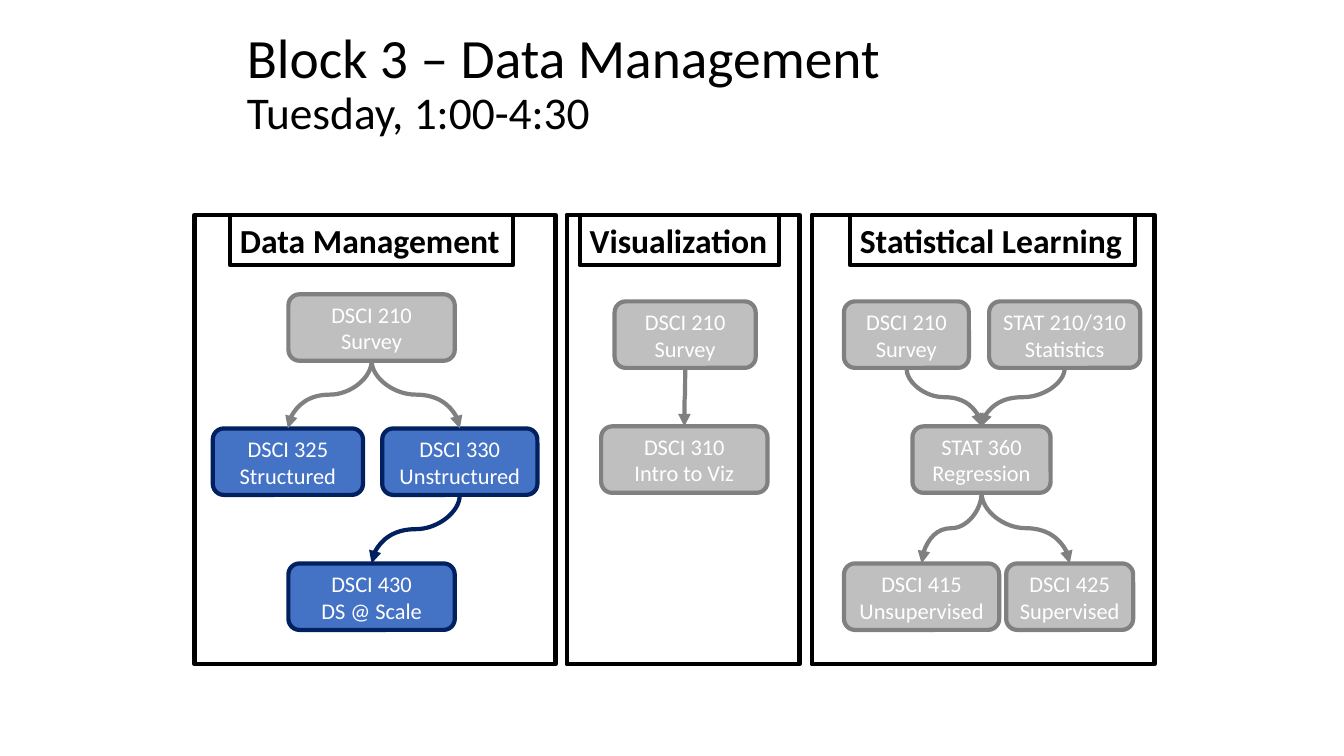
from dataclasses import dataclass

from lxml import etree
from pptx import Presentation
from pptx.dml.color import RGBColor
from pptx.enum.shapes import MSO_CONNECTOR, MSO_SHAPE
from pptx.enum.text import MSO_ANCHOR, MSO_AUTO_SIZE, PP_ALIGN
from pptx.oxml.ns import qn
from pptx.util import Inches, Pt


@dataclass(frozen=True)
class Theme:
    font: str = "Calibri"
    ink: str = "000000"
    white: str = "FFFFFF"
    muted: tuple = ("BFBFBF", "808080")  # fill, line
    active: tuple = ("4472C4", "002060")
    line: float = 3
    title: float = 39.6
    subtitle: float = 32.4
    label: float = 24
    course: float = 16


THEME = Theme()
W, H = Inches(13.33), Inches(7.5)

# Grid of 100 columns by 100 rows
PANEL_TOP, PANEL_H = 28.4, 59.47
LABEL_H, COURSE_H = 6.67, 8.8

# Panel: left and width; label: offset and width.
# Course: code, name, centre column and row within the panel, width, active
PANELS = [
    dict(label="Data Management", box=(14.48, 26.86), tab=(2.63, 21.08),
         courses=[("DSCI 210", "Survey", 13.17, 10.53, 12.38, False),
                  ("DSCI 325", "Structured", 6.94, 28.27, 11.18, True),
                  ("DSCI 330", "Unstructured", 19.73, 28.27, 11.55, True),
                  ("DSCI 430", "DS @ Scale", 13.17, 46.13, 12.38, True)],
         links=[(0, 1), (0, 2), (2, 3)]),
    dict(label="Visualization", box=(42.16, 17.33), tab=(0.98, 14.85),
         courses=[("DSCI 210", "Survey", 8.82, 11.47, 10.5, False),
                  ("DSCI 310", "Intro to Viz", 8.76, 28, 12.38, False)],
         links=[(0, 1)]),
    dict(label="Statistical Learning", box=(60.39, 25.51), tab=(2.85, 21.23),
         courses=[("DSCI 210", "Survey", 7.05, 11.47, 9.3, False),
                  ("STAT 210/310", "Statistics", 18.83, 11.47, 11.25, False),
                  ("STAT 360", "Regression", 12.64, 28, 10.28, False),
                  ("DSCI 415", "Unsupervised", 8.18, 46.13, 11.55, False),
                  ("DSCI 425", "Supervised", 19.2, 46.13, 9.45, False)],
         links=[(0, 2), (1, 2), (2, 3), (2, 4)]),
]


def grid(x, y, w, h):
    """Turn columns and rows into slide lengths."""
    return int(W * x / 100), int(H * y / 100), int(W * w / 100), int(H * h / 100)


def style_run(r, size, color, bold=False):
    r.font.name, r.font.size, r.font.bold = THEME.font, Pt(size), bold
    r.font.color.rgb = RGBColor.from_string(color)


def add_box(shapes, kind, box, line, fill=None):
    sp = shapes.add_shape(kind, *box)
    sp.shadow.inherit = False
    if fill:
        sp.fill.solid()
        sp.fill.fore_color.rgb = RGBColor.from_string(fill)
    else:
        sp.fill.background()
    sp.line.color.rgb = RGBColor.from_string(line)
    sp.line.width = Pt(THEME.line)
    return sp


def add_title(s, box):
    tf = s.shapes.add_textbox(*box).text_frame
    tf.word_wrap = True
    tf.vertical_anchor = MSO_ANCHOR.MIDDLE
    p = tf.paragraphs[0]
    p.text = "Block 3 – Data Management\vTuesday, 1:00-4:30"
    p.line_spacing = 0.9
    for r, size in zip(p.runs, (THEME.title, THEME.subtitle)):
        style_run(r, size, THEME.ink)


def add_label(shapes, box, text):
    tf = add_box(shapes, MSO_SHAPE.RECTANGLE, box, THEME.ink).text_frame
    tf.text = text
    tf.word_wrap = False
    tf.auto_size = MSO_AUTO_SIZE.SHAPE_TO_FIT_TEXT
    tf.vertical_anchor = MSO_ANCHOR.TOP
    p = tf.paragraphs[0]
    p.alignment = PP_ALIGN.LEFT
    style_run(p.runs[0], THEME.label, THEME.ink, bold=True)


def add_course(shapes, box, code, name, active):
    fill, line = THEME.active if active else THEME.muted
    sp = add_box(shapes, MSO_SHAPE.ROUNDED_RECTANGLE, box, line, fill)
    tf = sp.text_frame
    tf.text = f"{code}\n{name}"
    tf.vertical_anchor = MSO_ANCHOR.MIDDLE
    for p in tf.paragraphs:
        p.alignment = PP_ALIGN.CENTER
        style_run(p.runs[0], THEME.course, THEME.white)
    return sp


def add_link(shapes, start, end):
    """Curved arrow from the bottom of one course to the top of the next."""
    x1, y1 = start.left + start.width // 2, start.top + start.height
    x2, y2 = end.left + end.width // 2, end.top
    c = shapes.add_connector(MSO_CONNECTOR.CURVE, x1, y1, x2, y2)
    c.begin_connect(start, 0 + 2)
    c.end_connect(end, 0)
    # A vertical S-curve is the horizontal one turned about its centre
    c.width, c.height = y2 - y1, abs(x2 - x1)
    c.left, c.top = (x1 + x2 - c.width) // 2, (y1 + y2 - c.height) // 2
    rightward = x2 > x1
    xfrm = c._element.spPr.find(qn("a:xfrm"))
    xfrm.set("rot", str((270 if rightward else 90) * 60000))
    xfrm.set("flipH", "1" if rightward else "0")
    xfrm.set("flipV", "0")
    c.line.color.rgb = start.line.color.rgb
    c.line.width = Pt(THEME.line)
    etree.SubElement(c.line._get_or_add_ln(), qn("a:tailEnd"), type="triangle")
    etree.SubElement(c._element.spPr, qn("a:effectLst"))


def add_panel(s, left, top, width, height, panel):
    shapes = s.shapes.add_group_shape().shapes
    tab_x, tab_w = panel["tab"]
    add_label(shapes, grid(left + tab_x, top, tab_w, LABEL_H), panel["label"])
    courses = [
        add_course(shapes, grid(left + cx - w / 2, top + y, w, COURSE_H),
                   code, name, active)
        for code, name, cx, y, w, active in panel["courses"]
    ]
    for a, b in panel["links"]:
        add_link(shapes, courses[a], courses[b])
    # Frame
    add_box(shapes, MSO_SHAPE.RECTANGLE, grid(left, top, width, height), THEME.ink)


def main():
    prs = Presentation()
    prs.slide_width, prs.slide_height = W, H
    s = prs.slides.add_slide(prs.slide_layouts[6])
    add_title(s, grid(17.63, 5.33, 64.67, 11.87))
    for panel in PANELS:
        left, width = panel["box"]
        add_panel(s, left, PANEL_TOP, width, PANEL_H, panel)
    prs.save("out.pptx")


if __name__ == "__main__":
    main()
